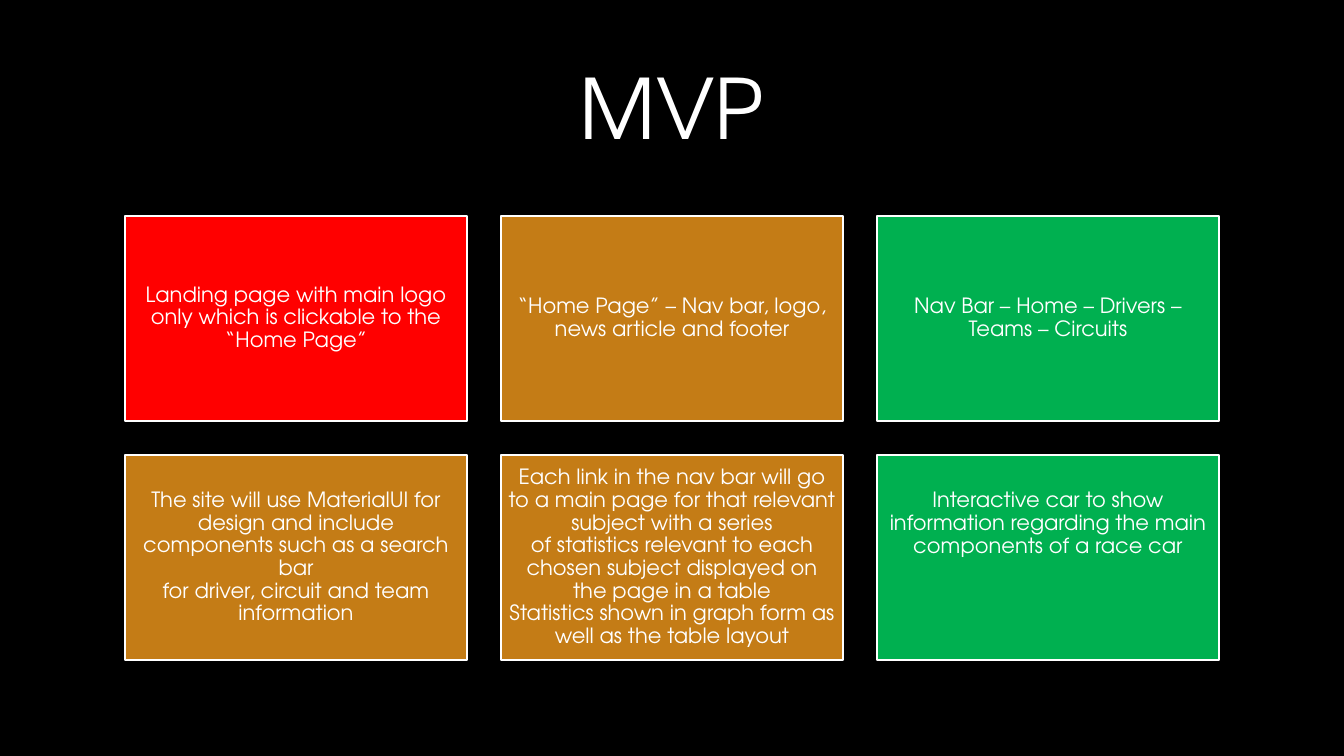
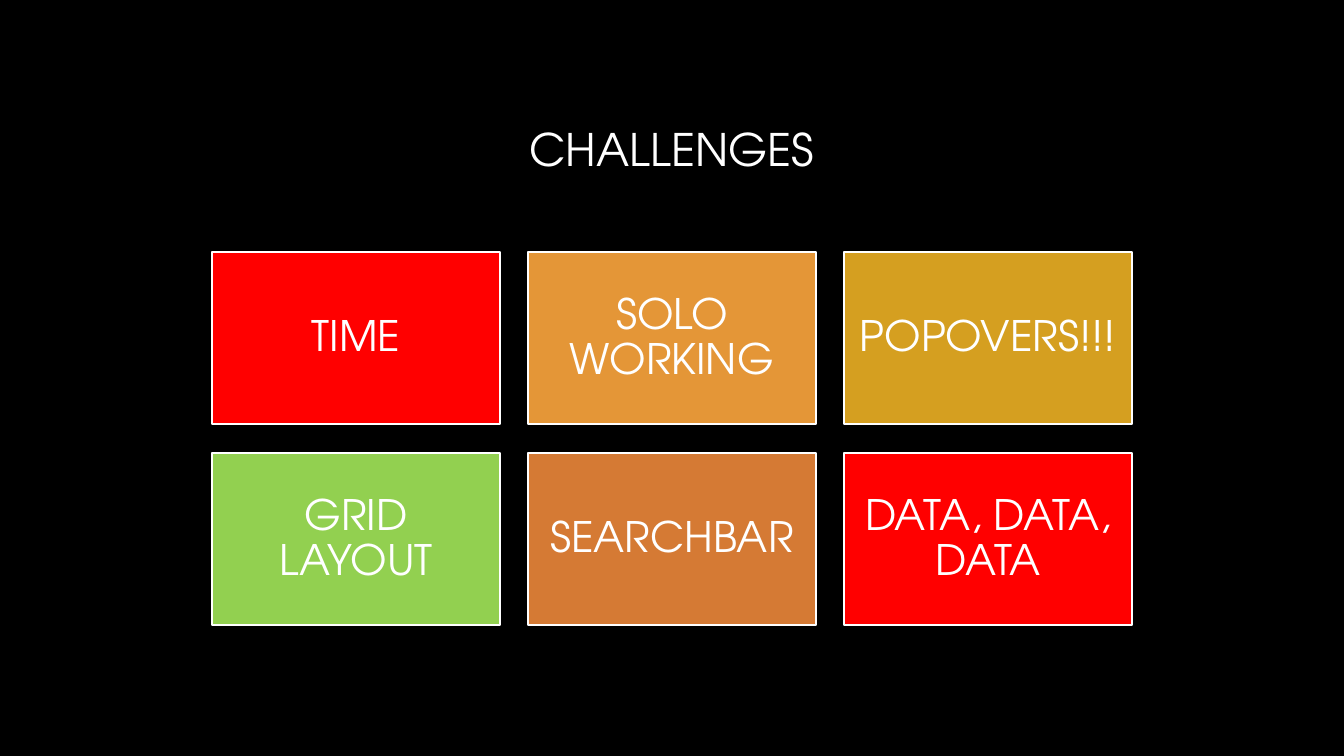
from dataclasses import dataclass

from pptx import Presentation
from pptx.dml.color import RGBColor
from pptx.enum.shapes import MSO_SHAPE as Preset
from pptx.enum.text import MSO_ANCHOR as Anchor, MSO_AUTO_SIZE as AutoSize, PP_ALIGN as Align
from pptx.presentation import Presentation as Deck
from pptx.slide import Slide
from pptx.text.text import TextFrame
from pptx.util import Inches, Pt

COLORS = {
    "black": "000000",
    "white": "FFFFFF",
    "red": "FF0000",
    "brown": "C47C16",
    "green": "00B050",
    "orange": "E49637",
    "gold": "D59F20",
    "lime": "92D050",
    "rust": "D57A34",
}
FONT = "TeX Gyre Adventor"
SLIDE_WIDTH, SLIDE_HEIGHT = 13.33, 7.5
TITLE_LEFT, TITLE_WIDTH = 1.25, 10.83
COLUMNS = 3
CARD_ASPECT, GAP_RATIO = 0.6, 0.1


@dataclass(frozen=True)
class Card:
    lines: tuple[str, ...]
    color: str
    raised: float = 0


@dataclass(frozen=True)
class CardPage:
    title: str
    title_top: float
    title_height: float
    title_size: float
    grid_top: float
    card_width: float
    card_size: float
    inset: float
    cards: tuple[Card, ...]


PAGES = (
    CardPage("MVP", 0.54, 1.02, 59.4, 2.14, 3.39, 15, 0.06, (
        Card(("Landing page with main logo only which is clickable to the “Home Page”",), "red"),
        Card(("“Home Page” – Nav bar, logo, news article and footer",), "brown"),
        Card(("Nav Bar – Home – Drivers – Teams – Circuits",), "green"),
        Card(("The site will use MaterialUI for design and include components such as a search bar",
              "for driver, circuit and team information"), "brown"),
        Card(("Each link in the nav bar will go to a main page for that relevant subject with a series",
              "of statistics relevant to each chosen subject displayed on the page in a table",
              "Statistics shown in graph form as well as the table layout"), "brown"),
        Card(("Interactive car to show information regarding the main components of a race car",),
             "green", raised=0.67),
    )),
    CardPage("CHALLENGES", 0.67, 1.61, 32, 2.5, 2.85, 30, 0.12, (
        Card(("TIME",), "red"),
        Card(("SOLO WORKING",), "orange"),
        Card(("POPOVERS!!!",), "gold"),
        Card(("GRID LAYOUT",), "lime"),
        Card(("SEARCHBAR",), "rust"),
        Card(("DATA, DATA, DATA",), "red"),
    )),
)


def rgb(name: str) -> RGBColor:
    return RGBColor.from_string(COLORS[name])


def apply(target: object, values: dict[str, object]) -> None:
    for name, value in values.items():
        setattr(target, name, value)


def write_lines(frame: TextFrame, lines: tuple[str, ...], size: float, spacing: float) -> None:
    apply(frame, {"word_wrap": True, "auto_size": AutoSize.NONE, "vertical_anchor": Anchor.MIDDLE})
    for index, line in enumerate(lines):
        para = frame.add_paragraph() if index else frame.paragraphs[0]
        apply(para, {"alignment": Align.CENTER, "line_spacing": spacing,
                     "space_before": Pt(0), "space_after": Pt(0)})
        span = para.add_run()
        span.text = line
        apply(span.font, {"name": FONT, "size": Pt(size)})
        span.font.color.rgb = rgb("white")


def add_title(page: Slide, content: CardPage) -> None:
    title = page.shapes.title
    apply(title, {"left": Inches(TITLE_LEFT), "top": Inches(content.title_top),
                  "width": Inches(TITLE_WIDTH), "height": Inches(content.title_height)})
    write_lines(title.text_frame, (content.title,), content.title_size, 1.0)


def add_cards(page: Slide, content: CardPage) -> None:
    width = content.card_width
    height = width * CARD_ASPECT
    gap = width * GAP_RATIO
    grid_left = (SLIDE_WIDTH - COLUMNS * width - (COLUMNS - 1) * gap) / 2
    for index, card in enumerate(content.cards):
        row, column = divmod(index, COLUMNS)
        box = page.shapes.add_shape(
            Preset.RECTANGLE,
            Inches(grid_left + column * (width + gap)),
            Inches(content.grid_top + row * (height + gap)),
            Inches(width), Inches(height))
        box.shadow.inherit = False
        box.fill.solid()
        box.fill.fore_color.rgb = rgb(card.color)
        box.line.color.rgb = rgb("white")
        box.line.width = Pt(1.5)
        inset = Inches(content.inset)
        apply(box.text_frame, {"margin_left": inset, "margin_right": inset, "margin_top": inset,
                               "margin_bottom": Inches(content.inset + card.raised)})
        write_lines(box.text_frame, card.lines, content.card_size, 0.9)


def add_page(deck: Deck, content: CardPage) -> None:
    page = deck.slides.add_slide(deck.slide_layouts.get_by_name("Title Only"))
    add_title(page, content)
    add_cards(page, content)


def main() -> None:
    deck = Presentation()
    apply(deck, {"slide_width": Inches(SLIDE_WIDTH), "slide_height": Inches(SLIDE_HEIGHT)})
    backdrop = deck.slide_master.background.fill
    backdrop.solid()
    backdrop.fore_color.rgb = rgb("black")
    for content in PAGES:
        add_page(deck, content)
    deck.save("out.pptx")


if __name__ == "__main__":
    main()
